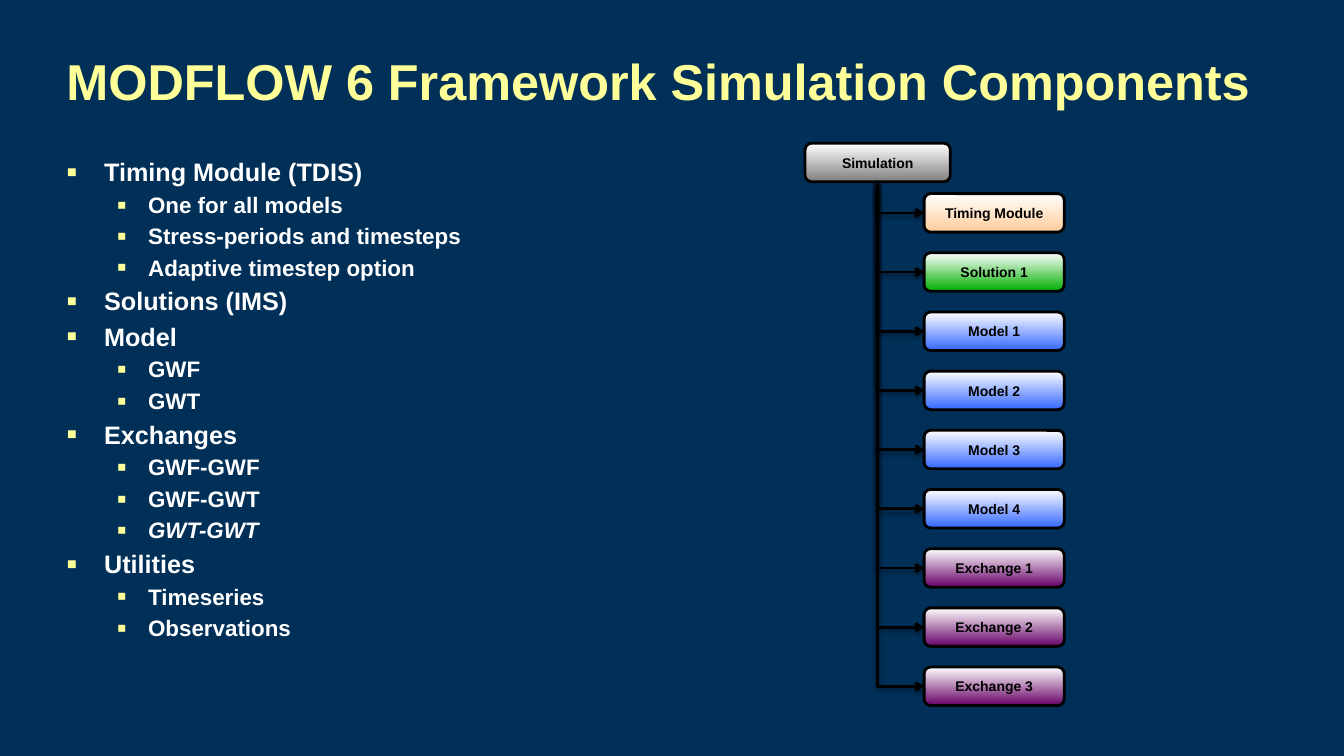
import pptx
import pptx.util
import pptx.dml.color
import pptx.enum.shapes
import pptx.enum.text
import pptx.oxml
import pptx.oxml.ns
from pptx.util import Cm

BACKGROUND, YELLOW, WHITE, BLACK = "002F57", "FFFF99", "FFFFFF", "000000"
GREY, PEACH, GREEN, BLUE, PURPLE = "808080", "FFCC99", "00AE00", "3366FF", "660066"

TOPICS = [
    ("Timing Module (TDIS)",
     ["One for all models", "Stress-periods and timesteps", "Adaptive timestep option"]),
    ("Solutions (IMS)", []),
    ("Model", ["GWF", "GWT"]),
    ("Exchanges", ["GWF-GWF", "GWF-GWT", "GWT-GWT"]),
    ("Utilities", ["Timeseries", "Observations"]),
]
ITALIC_TOPICS = {"GWT-GWT"}

COMPONENTS = [
    ("Timing Module", PEACH),
    ("Solution 1", GREEN),
    *[(f"Model {number}", BLUE) for number in range(1, 5)],
    *[(f"Exchange {number}", PURPLE) for number in range(1, 4)],
]


def rgb(hex_colour):
    return pptx.dml.color.RGBColor.from_string(hex_colour)


def add_xml(parent, markup):
    namespace = pptx.oxml.ns.nsdecls("a")
    wrapper = pptx.oxml.parse_xml(f"<a:wrapper {namespace}>{markup}</a:wrapper>")
    for element in list(wrapper):
        parent.append(element)


def place(part, left, top, width, height):
    part.left, part.top, part.width, part.height = left, top, width, height


def style_font(paragraph, size, colour):
    font = paragraph.font
    font.name, font.size, font.bold = "Arial", pptx.util.Pt(size), True
    font.color.rgb = rgb(colour)


def fill_heading(heading, left, top, width, height):
    place(heading, left, top, width, height)
    frame = heading.text_frame
    frame.text = "MODFLOW 6 Framework Simulation Components"
    frame.vertical_anchor = pptx.enum.text.MSO_ANCHOR.MIDDLE
    frame.auto_size = pptx.enum.text.MSO_AUTO_SIZE.NONE
    frame.paragraphs[0].alignment = pptx.enum.text.PP_ALIGN.LEFT
    style_font(frame.paragraphs[0], 36, YELLOW)


def format_topic(paragraph, text, level, is_first):
    paragraph.text = text
    paragraph.level = level
    margin, hanging, size = [(Cm(0.95), Cm(0.95), 18), (Cm(2.06), Cm(0.79), 16)][level]
    properties = paragraph._p.get_or_add_pPr()
    properties.set("marL", str(margin))
    properties.set("indent", str(-hanging))
    space = 0 if is_first else 20000
    add_xml(properties,
            f'<a:spcBef><a:spcPct val="{space}"/></a:spcBef>'
            f'<a:buClr><a:srgbClr val="{YELLOW}"/></a:buClr>'
            '<a:buSzPct val="125000"/><a:buFont typeface="Arial"/><a:buChar char="▪"/>')
    style_font(paragraph, size, WHITE)
    if text in ITALIC_TOPICS:
        paragraph.font.italic = True


def fill_topics(topics, left, top, width, height):
    place(topics, left, top, width, height)
    frame = topics.text_frame
    frame.auto_size = pptx.enum.text.MSO_AUTO_SIZE.NONE
    lines = []
    for topic, details in TOPICS:
        lines.append((topic, 0))
        lines += [(detail, 1) for detail in details]
    for index, (text, level) in enumerate(lines):
        paragraph = frame.add_paragraph() if index else frame.paragraphs[0]
        format_topic(paragraph, text, level, index == 0)


def add_component(slide, label, colour, left, top, width, height):
    component = slide.shapes.add_shape(
        pptx.enum.shapes.MSO_SHAPE.ROUNDED_RECTANGLE, left, top, width, height)
    component.shadow.inherit = False
    component.fill.gradient()
    component.fill.gradient_angle = 90
    for stop, stop_colour in zip(component.fill.gradient_stops, (colour, WHITE)):
        stop.color.rgb = rgb(stop_colour)
    component.line.color.rgb = rgb(BLACK)
    component.line.width = pptx.util.Pt(2)
    frame = component.text_frame
    frame.text = label
    frame.vertical_anchor = pptx.enum.text.MSO_ANCHOR.MIDDLE
    frame.paragraphs[0].alignment = pptx.enum.text.PP_ALIGN.CENTER
    style_font(frame.paragraphs[0], 10, BLACK)
    return component


def add_branch(slide, parent, child):
    start_x, start_y = parent.left + parent.width // 2, parent.top + parent.height
    end_x, end_y = child.left, child.top + child.height // 2
    branch = slide.shapes.add_connector(
        pptx.enum.shapes.MSO_CONNECTOR.ELBOW, start_x, start_y, end_x, end_y)
    branch.begin_connect(parent, 2)
    branch.end_connect(child, 1)

    run, drop = end_x - start_x, end_y - start_y
    place(branch, (start_x + end_x - drop) // 2, (start_y + end_y - run) // 2, drop, run)
    properties = branch._element.spPr
    frame = properties.find(pptx.oxml.ns.qn("a:xfrm"))
    frame.set("rot", "16200000")
    frame.set("flipH", "1")
    properties.find(pptx.oxml.ns.qn("a:prstGeom")).set("prst", "bentConnector2")

    branch.line.color.rgb = rgb(BLACK)
    branch.line.width = pptx.util.Pt(2)
    add_xml(properties.find(pptx.oxml.ns.qn("a:ln")), '<a:tailEnd type="arrow"/>')
    add_xml(properties,
            '<a:effectLst><a:outerShdw blurRad="40000" dist="20000" dir="5400000" '
            f'rotWithShape="0"><a:srgbClr val="{BLACK}"><a:alpha val="38000"/></a:srgbClr>'
            '</a:outerShdw></a:effectLst>')


def add_simulation_tree(slide, left, top, width, height):
    box_width, box_height = Cm(3.53), Cm(0.97)
    first_offset = Cm(1.27)
    pitch = (height - box_height - first_offset) // (len(COMPONENTS) - 1)
    simulation = add_component(slide, "Simulation", GREY, left, top, Cm(3.66), box_height)
    for row, (label, colour) in enumerate(COMPONENTS):
        component = add_component(
            slide, label, colour, left + width - box_width,
            top + first_offset + row * pitch, box_width, box_height)
        add_branch(slide, simulation, component)


def build_components_slide(presentation):
    slide = presentation.slides.add_slide(presentation.slide_layouts[1])
    slide.background.fill.solid()
    slide.background.fill.fore_color.rgb = rgb(BACKGROUND)
    fill_heading(slide.shapes.title, Cm(1.42), Cm(0.43), Cm(30.76), Cm(3.18))
    fill_topics(slide.placeholders[1], Cm(1.42), Cm(3.81), Cm(30.76), Cm(12.5))
    add_simulation_tree(slide, Cm(20.29), Cm(3.61), Cm(6.53), Cm(14.17))


def main():
    presentation = pptx.Presentation()
    presentation.slide_width, presentation.slide_height = Cm(33.87), Cm(19.05)
    build_components_slide(presentation)
    presentation.save("out.pptx")


if __name__ == "__main__":
    main()
